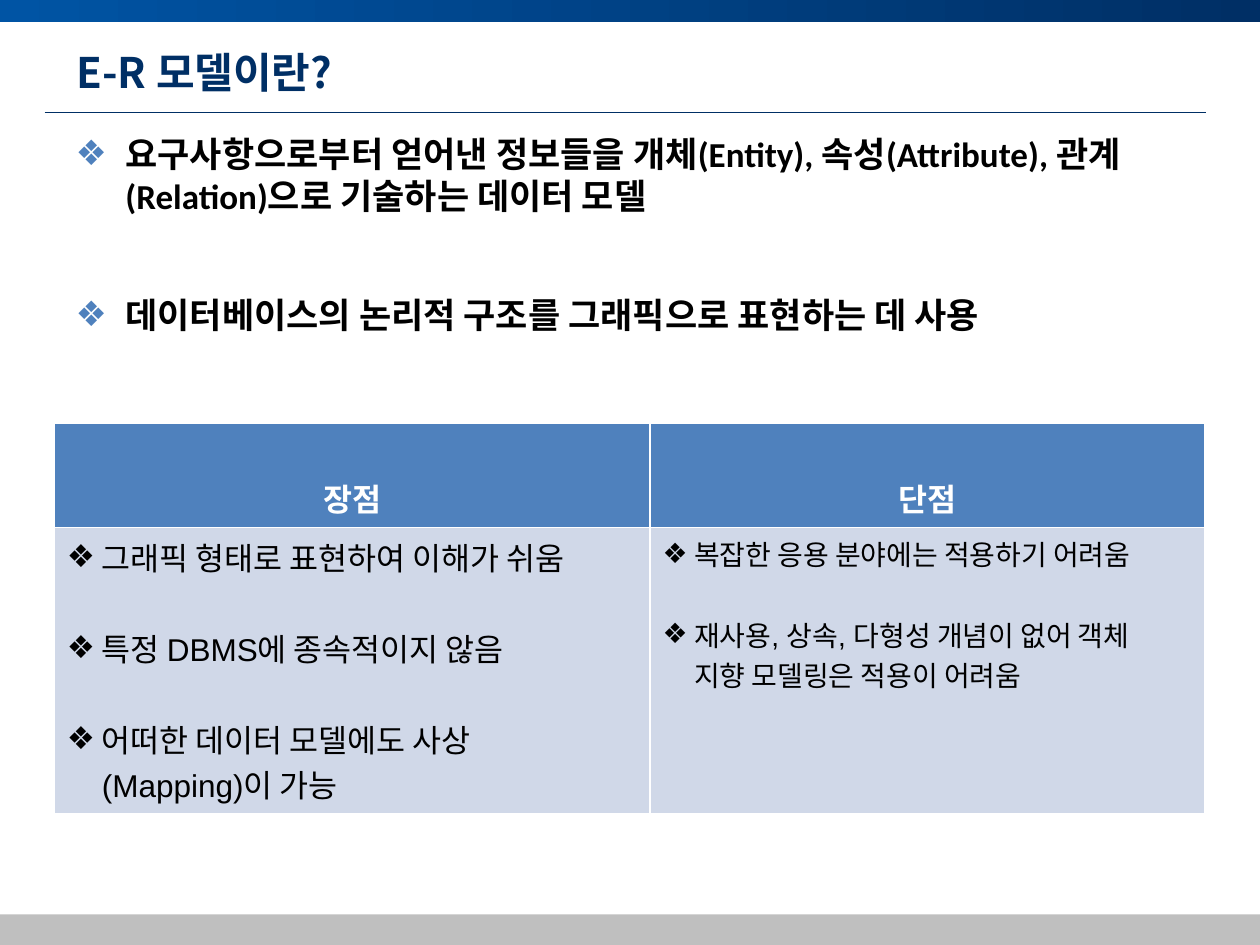
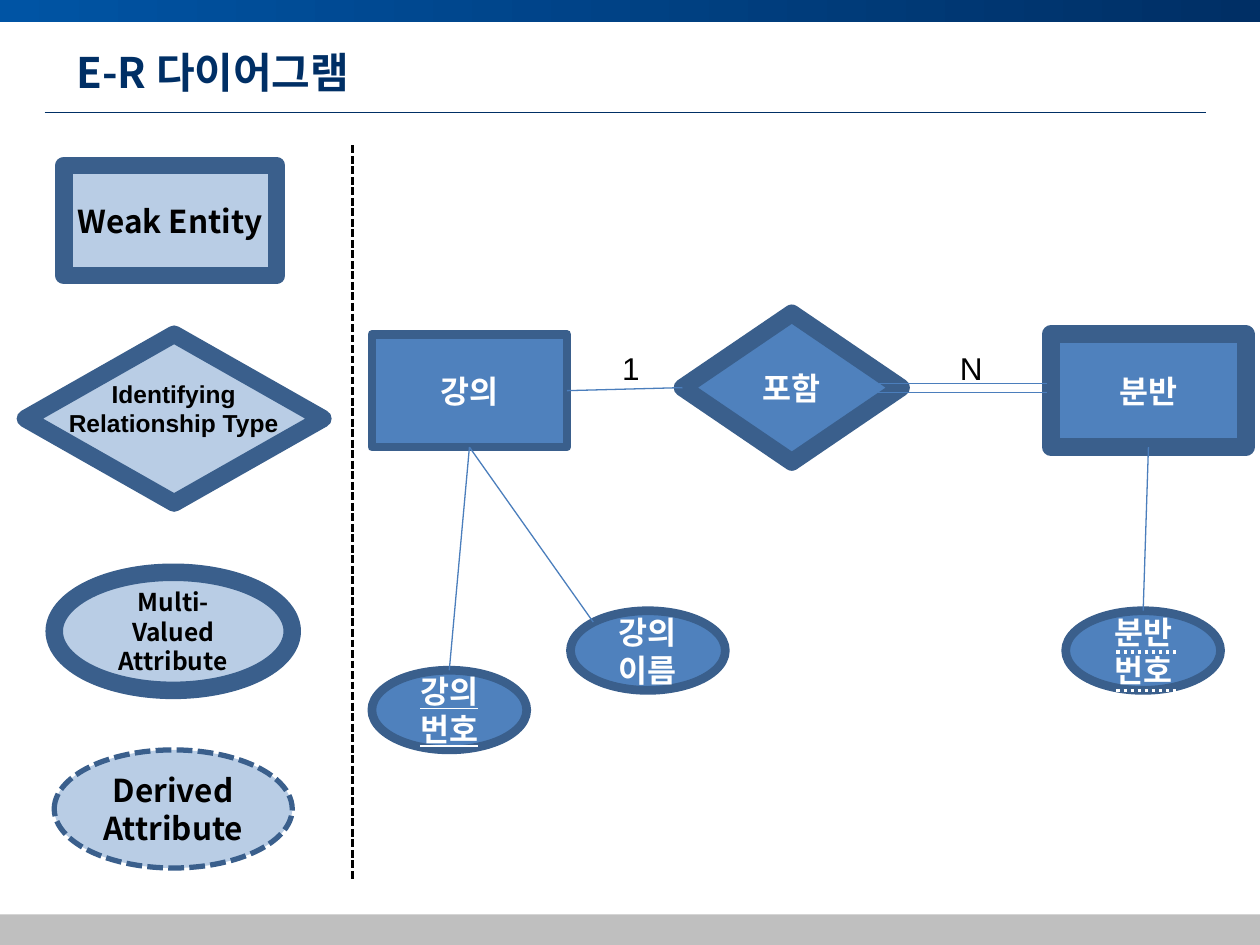
"""Build two slides that introduce the E-R model and its diagram symbols."""
import lxml.etree
import pptx
import pptx.util
import pptx.dml.color
import pptx.enum.dml
import pptx.enum.shapes
import pptx.enum.text
import pptx.oxml
import pptx.oxml.ns

Pt = pptx.util.Pt
RGB = pptx.dml.color.RGBColor
SHAPE = pptx.enum.shapes.MSO_SHAPE
DASH = pptx.enum.dml.MSO_LINE
ALIGN = pptx.enum.text.PP_ALIGN
ANCHOR = pptx.enum.text.MSO_ANCHOR

NAVY = RGB(0x00, 0x2F, 0x65)
BRIGHT = RGB(0x00, 0x54, 0xA4)
BLUE = RGB(0x4F, 0x81, 0xBD)
PALE = RGB(0xB9, 0xCD, 0xE5)
EDGE = RGB(0x3A, 0x5F, 0x8C)
LINK = RGB(0x4B, 0x7E, 0xBC)
CELL = RGB(0xD0, 0xD8, 0xE8)
GRAY = RGB(0xBF, 0xBF, 0xBF)
BLACK = RGB(0, 0, 0)
WHITE = RGB(0xFF, 0xFF, 0xFF)

KOREAN, ARIAL, CALIBRI = "Noto Sans CJK KR", "Arial", "Calibri"

MODEL_TITLE = "E-R 모델이란?"
MODEL_POINTS = [
    "요구사항으로부터 얻어낸 정보들을 개체(Entity), 속성(Attribute), 관계\v(Relation)으로 기술하는 데이터 모델",
    "데이터베이스의 논리적 구조를 그래픽으로 표현하는 데 사용",
]
TABLE_BOX = (31, 242, 657.5, 215)
ROW_HEIGHTS = (56, 159)
COLUMNS = [
    dict(head="장점", width=340.5, size=18, indent=20, gap=26, points=[
        "그래픽 형태로 표현하여 이해가 쉬움",
        "특정 DBMS에 종속적이지 않음",
        "어떠한 데이터 모델에도 사상\v(Mapping)이 가능"]),
    dict(head="단점", width=317, size=16, indent=18, gap=23, points=[
        "복잡한 응용 분야에는 적용하기 어려움",
        "재사용, 상속, 다형성 개념이 없어 객체\v지향 모델링은 적용이 어려움"]),
]

DIAGRAM_TITLE = "E-R 다이어그램"
LEGEND = [
    (SHAPE.RECTANGLE, (36.5, 94.5, 121.5, 63), "Weak Entity", 18, 10, None),
    (SHAPE.FLOWCHART_DECISION, (14.5, 191, 170, 96.5), "", 14, 10, None),
    (SHAPE.OVAL, (31, 327, 136, 67.5), "Multi-Valued Attribute", 14, 10, None),
    (SHAPE.OVAL, (31, 428.5, 136, 67.5), "Derived\nAttribute", 18, 3, DASH.SQUARE_DOT),
]
NODES = {
    "강의": (SHAPE.RECTANGLE, (212.5, 191, 111.5, 64.5), 5),
    "분반": (SHAPE.RECTANGLE, (600.5, 191, 111.5, 64.5), 10),
    "포함": (SHAPE.FLOWCHART_DECISION, (390, 179, 125, 85), 10),
    "분반번호": (SHAPE.OVAL, (609, 349, 88.5, 45.5), 5),
    "강의번호": (SHAPE.OVAL, (212.5, 383, 88.5, 45.5), 5),
    "강의이름": (SHAPE.OVAL, (326, 349, 88.5, 45.5), 5),
}
KEY = "강의번호"
TOP, LEFT, BOTTOM, RIGHT = range(4)
JOINS = [("강의", RIGHT, "포함", LEFT), ("강의", BOTTOM, "강의번호", TOP),
         ("분반", BOTTOM, "분반번호", TOP)]
NAME_CORNER = (339, 355.5)
DIVIDER = ((201.5, 83), (201.5, 502.5))
DOUBLE_LINE = dict(x=(502, 598.5), ys=(219, 224.5))
PARTIAL_KEY = dict(x=(638, 672), ys=(372.5, 394.5))
LABELS = [
    ("1", (348.5, 196, 22.5, 29), 18, False, ALIGN.LEFT),
    ("N", (541.5, 196, 22.5, 29), 18, False, ALIGN.LEFT),
    ("Identifying Relationship Type", (20, 213, 158.5, 58), 14, True, ALIGN.CENTER),
]


def box(values):
    return [Pt(v) for v in values]


def style(p, name, size, color, bold=False, align=None):
    p.font.name, p.font.size, p.font.bold = name, Pt(size), bold
    p.font.color.rgb = color
    p.alignment = align


def bullet(p, indent, color):
    pPr = p._p.get_or_add_pPr()
    pPr.set("marL", str(Pt(indent)))
    pPr.set("indent", str(-Pt(indent)))
    ns = pptx.oxml.ns.nsdecls("a")
    for xml in (f'<a:buClr {ns}><a:srgbClr val="{color}"/></a:buClr>',
                f'<a:buFont {ns} typeface="Arial"/>',
                f'<a:buChar {ns} char="❖"/>'):
        pPr.insert_element_before(pptx.oxml.parse_xml(xml), "a:tabLst", "a:defRPr", "a:extLst")


def fill_points(tf, points, indent, gap, bullet_color, name, size, bold=False):
    for i, text in enumerate(points):
        p = tf.add_paragraph() if i else tf.paragraphs[0]
        p.text = text
        style(p, name, size, BLACK, bold)
        p.space_before = Pt(gap if i else 0)
        bullet(p, indent, bullet_color)


def flatten(line):
    lxml.etree.SubElement(line._element.spPr, pptx.oxml.ns.qn("a:effectLst"))


def add_line(s, start, end, color, width, dash=None):
    line = s.shapes.add_connector(pptx.enum.shapes.MSO_CONNECTOR.STRAIGHT, *box(start + end))
    line.line.color.rgb, line.line.width = color, Pt(width)
    if dash:
        line.line.dash_style = dash
    flatten(line)
    return line


def add_pair(s, x, ys, color, width, dash=None):
    for y in ys:
        add_line(s, (x[0], y), (x[1], y), color, width, dash)


def add_shape(s, kind, at, fill, edge=None, dash=None):
    sp = s.shapes.add_shape(kind, *box(at))
    sp.shadow.inherit = False
    sp.fill.solid()
    sp.fill.fore_color.rgb = fill
    if edge:
        sp.line.color.rgb, sp.line.width = EDGE, Pt(edge)
        if dash:
            sp.line.dash_style = dash
    else:
        sp.line.fill.background()
    return sp


def write(sp, text, size, color, name=KOREAN, bold=True, align=ALIGN.CENTER):
    tf = sp.text_frame
    tf.word_wrap = True
    tf.text = text
    for p in tf.paragraphs:
        style(p, name, size, color, bold, align)


def add_slide(prs, layout, title):
    s = prs.slides.add_slide(prs.slide_layouts[layout])
    band = add_shape(s, SHAPE.RECTANGLE, (0, 0, 720, 12.5), NAVY)
    band.fill.gradient()
    band.fill.gradient_angle = 0
    for stop, color in zip(band.fill.gradient_stops, (BRIGHT, NAVY)):
        stop.color.rgb = color
    add_line(s, (25.5, 64), (689, 64), NAVY, 0.5)
    add_shape(s, SHAPE.RECTANGLE, (0, 522.5, 720, 17.5), GRAY)
    sp = s.shapes.title
    sp.left, sp.top, sp.width, sp.height = box((36.5, 20, 648, 42))
    write(sp, title, 24, NAVY, align=ALIGN.LEFT)
    sp.text_frame.vertical_anchor = ANCHOR.MIDDLE
    return s


def build_model(prs):
    s = add_slide(prs, 1, MODEL_TITLE)
    body = s.placeholders[1]
    body.left, body.top, body.width, body.height = box((36, 72, 648, 413))
    fill_points(body.text_frame, MODEL_POINTS, 28.5, 44, BLUE, CALIBRI, 20, True)
    table = s.shapes.add_table(2, len(COLUMNS), *box(TABLE_BOX)).table
    for row, height in zip(table.rows, ROW_HEIGHTS):
        row.height = Pt(height)
    for i, col in enumerate(COLUMNS):
        table.columns[i].width = Pt(col["width"])
        head, cell = table.cell(0, i), table.cell(1, i)
        for c, color in ((head, BLUE), (cell, CELL)):
            c.fill.solid()
            c.fill.fore_color.rgb = color
        p = head.text_frame.paragraphs[0]
        p.text = col["head"]
        style(p, ARIAL, 18, WHITE, True, ALIGN.CENTER)
        p.line_spacing = 2.0
        fill_points(cell.text_frame, col["points"], col["indent"], col["gap"],
                    BLACK, ARIAL, col["size"])


def build_diagram(prs):
    s = add_slide(prs, 5, DIAGRAM_TITLE)
    for kind, at, text, size, edge, dash in LEGEND:
        sp = add_shape(s, kind, at, PALE, edge, dash)
        if text:
            write(sp, text, size, BLACK)
    add_line(s, *DIVIDER, BLACK, 1.5, DASH.SQUARE_DOT)

    nodes = {}
    for name, (kind, at, edge) in NODES.items():
        nodes[name] = add_shape(s, kind, at, BLUE, edge)
        write(nodes[name], name, 18, WHITE)
    nodes[KEY].text_frame.paragraphs[0].font.underline = True

    for start, side, end, end_side in JOINS:
        line = add_line(s, (0, 0), (0, 0), LINK, 0.75)
        line.begin_connect(nodes[start], side)
        line.end_connect(nodes[end], end_side)
    add_line(s, (0, 0), NAME_CORNER, LINK, 0.75).begin_connect(nodes["강의"], BOTTOM)
    add_pair(s, **DOUBLE_LINE, color=LINK, width=0.75)
    add_pair(s, **PARTIAL_KEY, color=WHITE, width=2, dash=DASH.ROUND_DOT)

    for text, at, size, bold, align in LABELS:
        write(s.shapes.add_textbox(*box(at)), text, size, BLACK, ARIAL, bold, align)


if __name__ == "__main__":
    prs = pptx.Presentation()
    prs.slide_width, prs.slide_height = Pt(720), Pt(540)
    build_model(prs)
    build_diagram(prs)
    prs.save("out.pptx")
